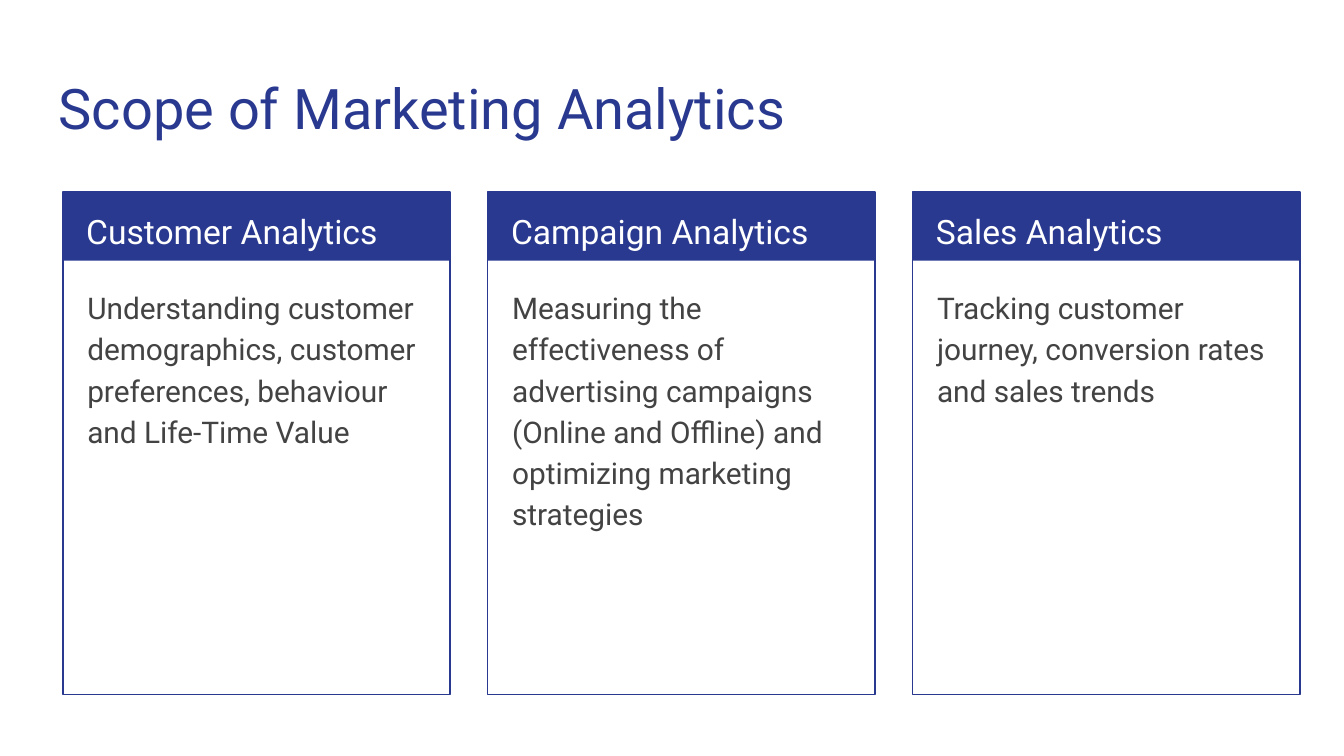
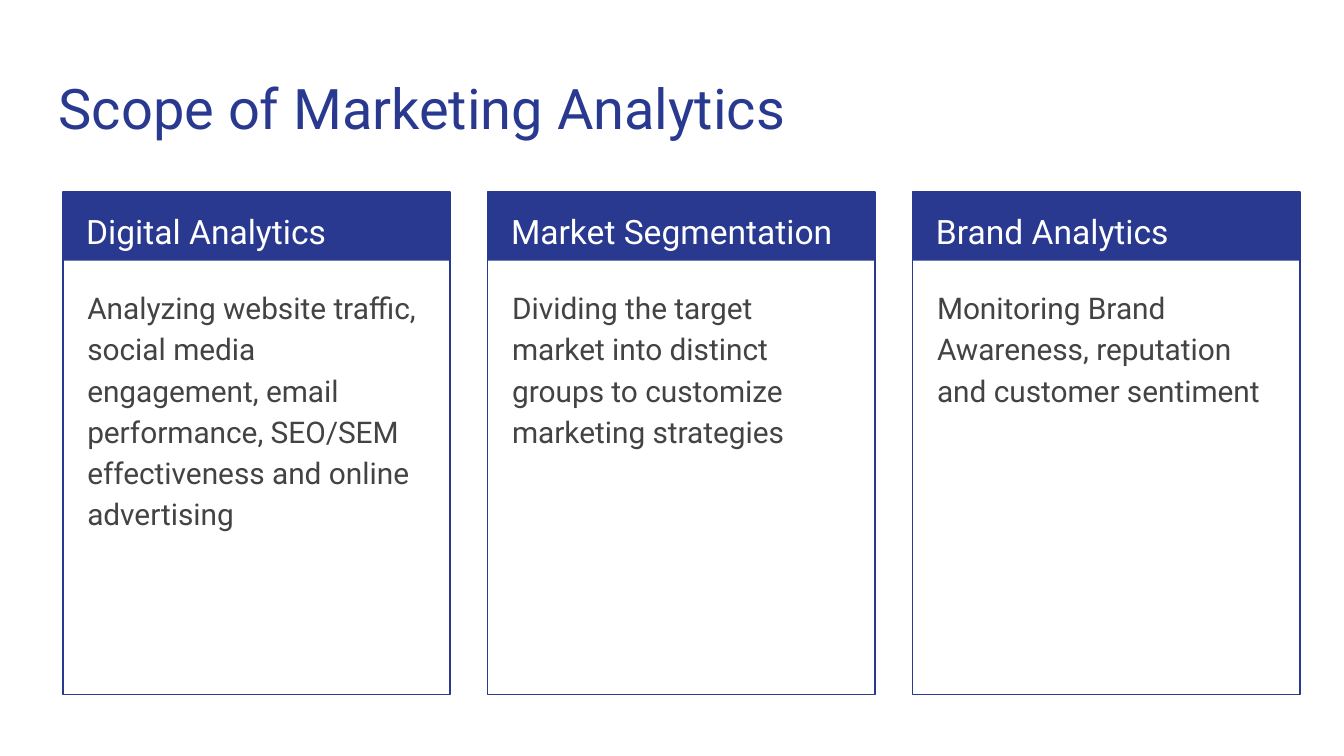
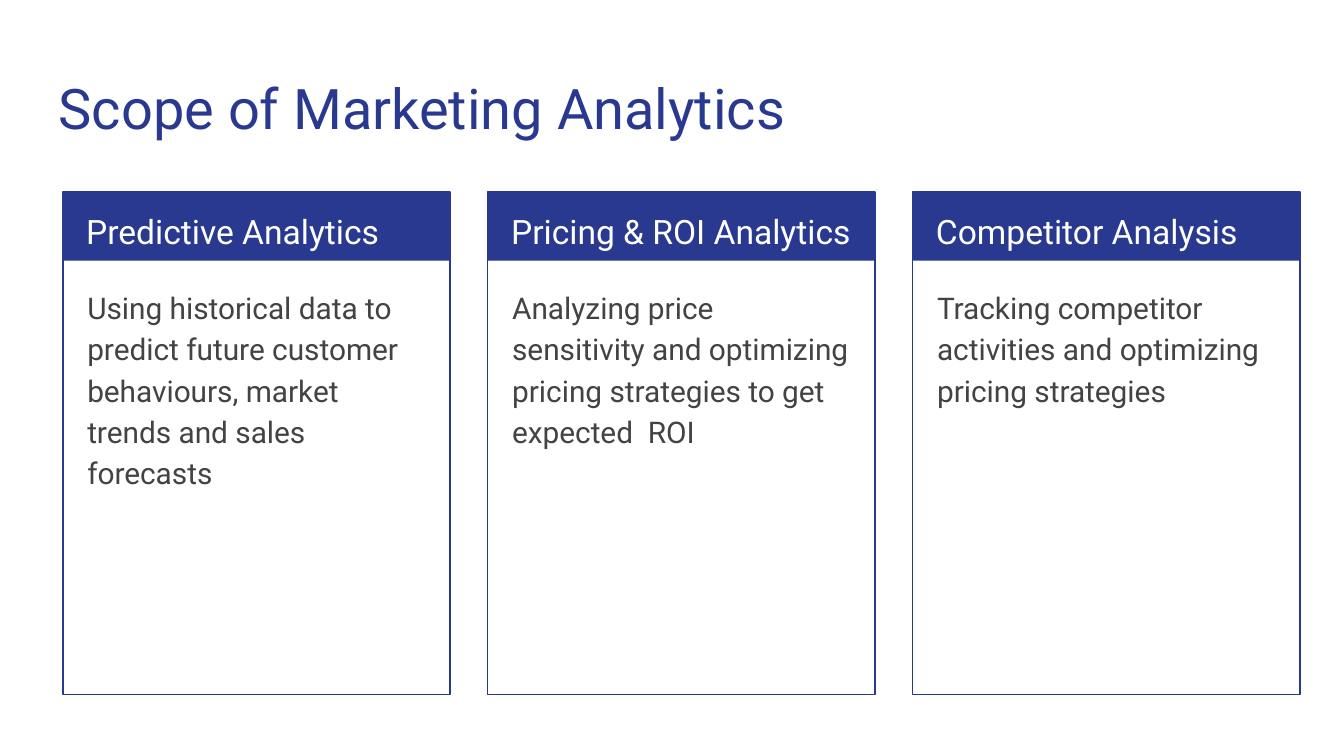
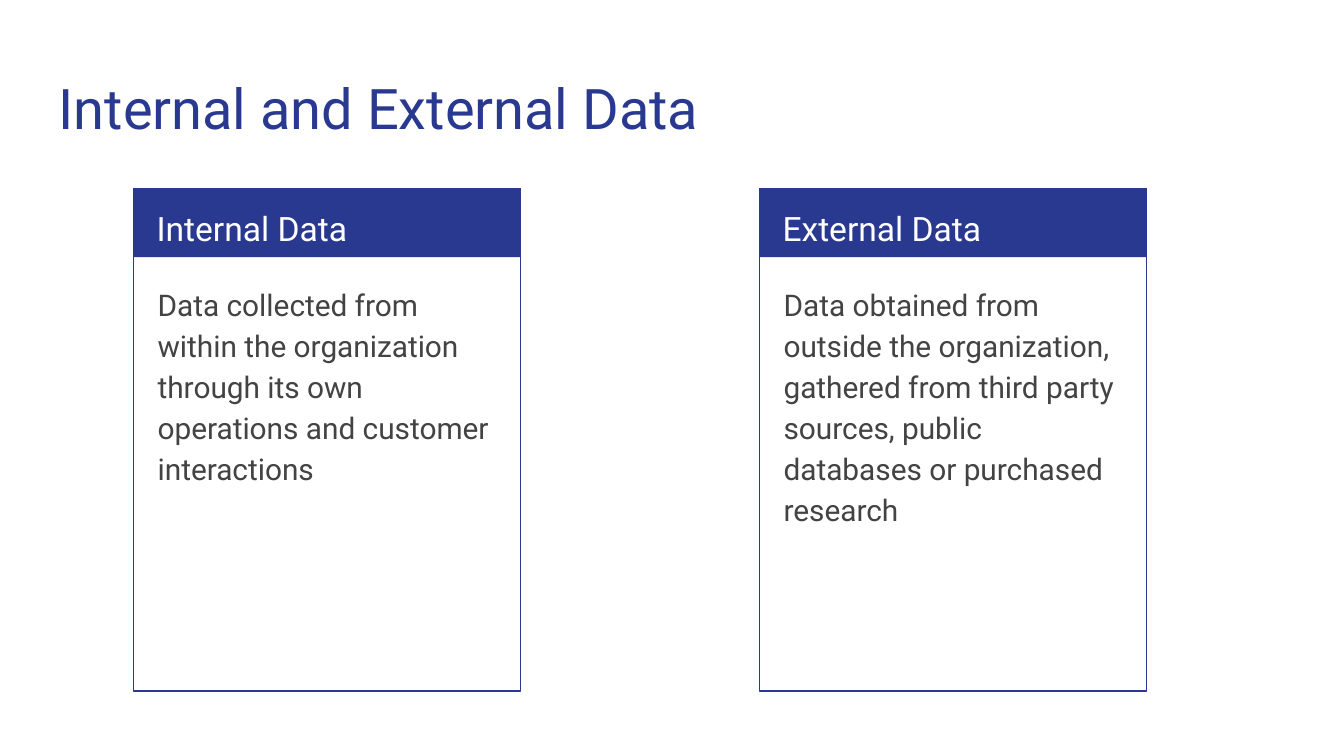
from dataclasses import dataclass

import pptx
import pptx.dml.color
import pptx.enum.shapes
import pptx.enum.text
import pptx.slide
import pptx.util

Cm = pptx.util.Cm
Pt = pptx.util.Pt
RGBColor = pptx.dml.color.RGBColor


@dataclass(frozen=True)
class Theme:
    font: str = "Roboto"
    navy: RGBColor = RGBColor(0x2A, 0x39, 0x90)
    white: RGBColor = RGBColor(0xFF, 0xFF, 0xFF)
    grey: RGBColor = RGBColor(0x43, 0x43, 0x43)
    title_size: float = 30
    heading_size: float = 18
    body_size: float = 16
    outline: float = 0.75
    line_spacing: float = 1.15
    margin: float = 0.25


@dataclass(frozen=True)
class Frame:
    left: float
    top: float
    width: float
    height: float

    def lengths(self) -> tuple[Cm, Cm, Cm, Cm]:
        return Cm(self.left), Cm(self.top), Cm(self.width), Cm(self.height)


@dataclass(frozen=True)
class Row:
    left: float
    top: float
    pitch: float


@dataclass(frozen=True)
class Card:
    heading: str
    body: str


@dataclass(frozen=True)
class CardPage:
    title: str
    row: Row
    cards: tuple[Card, ...]


THEME = Theme()
TITLE_FRAME = Frame(0.86, 1.14, 23.67, 1.68)
CARD_WIDTH = 7.32
CARD_HEIGHT = 9.5
BAND_HEIGHT = 1.3
THREE_CARDS = Row(left=1.19, top=3.63, pitch=8.03)
TWO_CARDS = Row(left=2.52, top=3.56, pitch=11.83)
SCOPE_TITLE = "Scope of Marketing Analytics"

PAGES = (
    CardPage(SCOPE_TITLE, THREE_CARDS, (
        Card("Customer Analytics",
             "Understanding customer demographics, customer preferences, "
             "behaviour and Life-Time Value"),
        Card("Campaign Analytics",
             "Measuring the effectiveness of advertising campaigns "
             "(Online and Offline) and optimizing marketing strategies"),
        Card("Sales Analytics",
             "Tracking customer journey, conversion rates and sales trends"),
    )),
    CardPage(SCOPE_TITLE, THREE_CARDS, (
        Card("Digital Analytics",
             "Analyzing website traffic, social media engagement, email "
             "performance, SEO/SEM effectiveness and online advertising"),
        Card("Market Segmentation",
             "Dividing the target market into distinct groups to customize "
             "marketing strategies"),
        Card("Brand Analytics",
             "Monitoring Brand Awareness, reputation and customer sentiment"),
    )),
    CardPage(SCOPE_TITLE, THREE_CARDS, (
        Card("Predictive Analytics",
             "Using historical data to predict future customer behaviours, "
             "market trends and sales forecasts"),
        Card("Pricing & ROI Analytics",
             "Analyzing price sensitivity and optimizing pricing strategies "
             "to get expected  ROI"),
        Card("Competitor Analysis",
             "Tracking competitor activities and optimizing pricing strategies"),
    )),
    CardPage("Internal and External Data", TWO_CARDS, (
        Card("Internal Data",
             "Data collected from within the organization through its own "
             "operations and customer interactions"),
        Card("External Data",
             "Data obtained from outside the organization, gathered from third "
             "party sources, public databases or purchased research"),
    )),
)


def add_text(page: pptx.slide.Slide, frame: Frame, text: str, size: float,
             color: RGBColor, line_spacing: float = 1.0, space_after: float = 0) -> None:
    box = page.shapes.add_textbox(*frame.lengths())
    text_frame = box.text_frame
    text_frame.word_wrap = True
    text_frame.vertical_anchor = pptx.enum.text.MSO_ANCHOR.TOP
    text_frame.margin_left = text_frame.margin_right = Cm(THEME.margin)
    text_frame.margin_top = text_frame.margin_bottom = Cm(THEME.margin)
    para = text_frame.paragraphs[0]
    para.text = text
    para.line_spacing = line_spacing
    para.space_after = Pt(space_after)
    para.font.name = THEME.font
    para.font.size = Pt(size)
    para.font.color.rgb = color


def add_panel(page: pptx.slide.Slide, left: float, top: float) -> None:
    group = page.shapes.add_group_shape()
    rectangle = pptx.enum.shapes.MSO_SHAPE.RECTANGLE
    band = group.shapes.add_shape(
        rectangle, *Frame(left, top, CARD_WIDTH, BAND_HEIGHT).lengths())
    band.shadow.inherit = False
    band.fill.solid()
    band.fill.fore_color.rgb = THEME.navy
    band.line.fill.background()
    border = group.shapes.add_shape(
        rectangle, *Frame(left, top, CARD_WIDTH, CARD_HEIGHT).lengths())
    border.shadow.inherit = False
    border.fill.background()
    border.line.color.rgb = THEME.navy
    border.line.width = Pt(THEME.outline)


def add_card(page: pptx.slide.Slide, card: Card, left: float, top: float) -> None:
    add_panel(page, left, top)
    add_text(page, Frame(left + 0.19, top, 6.93, 1.27), card.heading,
             THEME.heading_size, THEME.white, THEME.line_spacing)
    add_text(page, Frame(left + 0.21, top + 1.5, 6.88, 7.77), card.body,
             THEME.body_size, THEME.grey, THEME.line_spacing, space_after=16)


def main() -> None:
    deck = pptx.Presentation()
    deck.slide_width = Cm(25.4)
    deck.slide_height = Cm(14.29)
    blank = deck.slide_layouts[6]
    for content in PAGES:
        page = deck.slides.add_slide(blank)
        page.background.fill.solid()
        page.background.fill.fore_color.rgb = THEME.white
        add_text(page, TITLE_FRAME, content.title, THEME.title_size, THEME.navy)
        row = content.row
        for index, card in enumerate(content.cards):
            add_card(page, card, row.left + index * row.pitch, row.top)
    deck.save("out.pptx")


if __name__ == "__main__":
    main()
